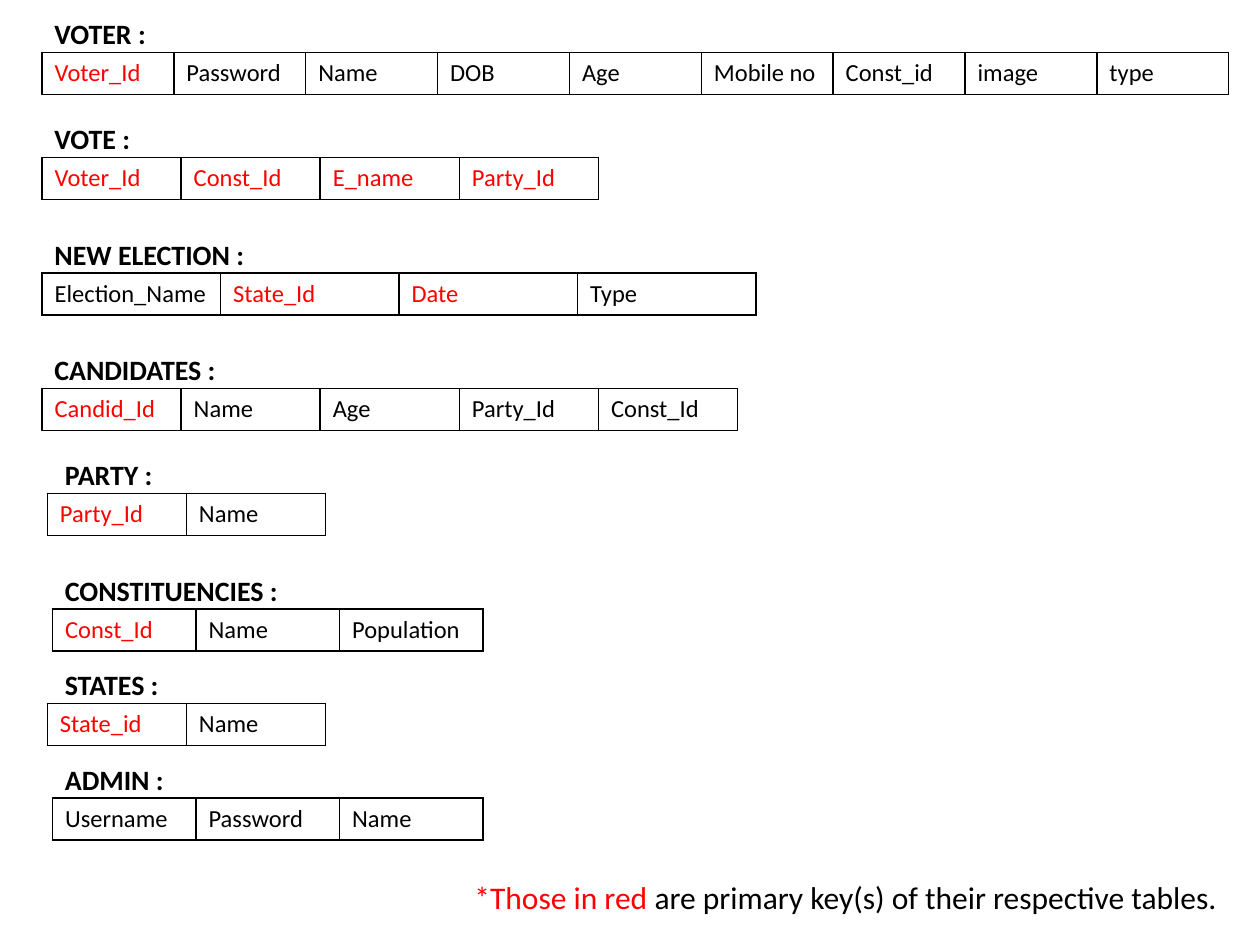
from dataclasses import dataclass

import pptx
import pptx.dml.color
import pptx.enum.text
import pptx.oxml
import pptx.oxml.ns
import pptx.util


@dataclass(frozen=True)
class Theme:
    font: str = "Calibri"
    ink: str = "000000"
    key: str = "FF0000"
    paper: str = "FFFFFF"
    head: int = 16
    cell: int = 14
    note: int = 18
    line: int = 1


THEME = Theme()
UNIT = pptx.util.Inches(1) / 12  # the slide is a grid of 120 columns by 90 rows
HEAD_GAP = 4  # rows from the top of a heading to its table
ROW = 4

# Heading, its column and width, then the table's column, row, cell width
# and fields; a star marks a primary key
SCHEMAS = [
    ("VOTER :", 4, 17, 4, 5, 12.56,
     "*Voter_Id,Password,Name,DOB,Age,Mobile no,Const_id,image,type"),
    ("VOTE :", 4, 17, 4, 15, 13.25, "*Voter_Id,*Const_Id,*E_name,*Party_Id"),
    ("NEW ELECTION :", 4, 22, 4, 26, 17, "Election_Name,*State_Id,*Date,Type"),
    ("CANDIDATES :", 4, 19, 4, 37, 13.25, "*Candid_Id,Name,Age,Party_Id,Const_Id"),
    ("PARTY :", 5, 17, 4.5, 47, 13.25, "*Party_Id,Name"),
    ("CONSTITUENCIES :", 5, 27, 5, 58, 13.67, "*Const_Id,Name,Population"),
    ("STATES :", 5, 17, 4.5, 67, 13.25, "*State_id,Name"),
    ("ADMIN :", 5, 27, 5, 76, 13.67, "Username,Password,Name"),
]


def grid(*units):
    return [pptx.util.Emu(round(n * UNIT)) for n in units]


def tint(name):
    return pptx.dml.color.RGBColor.from_string(name)


def style(font, size, color, bold=False):
    font.name = THEME.font
    font.size = pptx.util.Pt(size)
    font.bold = bold
    font.color.rgb = tint(color)


def add_text(slide, box):
    frame = slide.shapes.add_textbox(*grid(*box)).text_frame
    frame.word_wrap = True
    return frame.paragraphs[0]


def add_head(slide, box, text):
    para = add_text(slide, box)
    para.text = text
    style(para.font, THEME.head, THEME.ink, bold=True)


def edge(cell):
    """Rule all four sides; the borders must come before the fill."""
    props = cell._tc.get_or_add_tcPr()
    width = pptx.util.Pt(THEME.line)
    for spot, side in enumerate(("lnL", "lnR", "lnT", "lnB")):
        props.insert(spot, pptx.oxml.parse_xml(
            f'<a:{side} {pptx.oxml.ns.nsdecls("a")} w="{width}"><a:solidFill>'
            f'<a:srgbClr val="{THEME.ink}"/></a:solidFill></a:{side}>'))


def add_fields(slide, box, fields):
    table = slide.shapes.add_table(1, len(fields), *grid(*box)).table
    table.first_row = table.horz_banding = False
    for cell, field in zip(table.iter_rows_cells() if hasattr(table, "iter_rows_cells")
                           else table.iter_cells(), fields):
        cell.fill.solid()
        cell.fill.fore_color.rgb = tint(THEME.paper)
        cell.margin_top = cell.margin_bottom = pptx.util.Inches(0.04)
        cell.vertical_anchor = pptx.enum.text.MSO_ANCHOR.MIDDLE
        edge(cell)
        para = cell.text_frame.paragraphs[0]
        para.text = field.lstrip("*")
        style(para.font, THEME.cell,
              THEME.key if field.startswith("*") else THEME.ink)


def add_note(slide, box):
    para = add_text(slide, box)
    for text, color in (("*Those in red", THEME.key),
                        (" are primary key(s) of their respective tables.", THEME.ink)):
        run = para.add_run()
        run.text = text
        style(run.font, THEME.note, color)


def main():
    deck = pptx.Presentation()
    deck.slide_width, deck.slide_height = grid(120, 90)
    slide = deck.slides.add_slide(deck.slide_layouts[6])

    # One heading and one row of fields for each schema
    for title, left, width, start, top, step, names in SCHEMAS:
        fields = names.split(",")
        add_fields(slide, (start, top, step * len(fields), ROW), fields)
        add_head(slide, (left, top - HEAD_GAP, width, 4.4), title)

    # Legend
    add_note(slide, (44, 83, 75, 6))
    deck.save("out.pptx")


if __name__ == "__main__":
    main()
